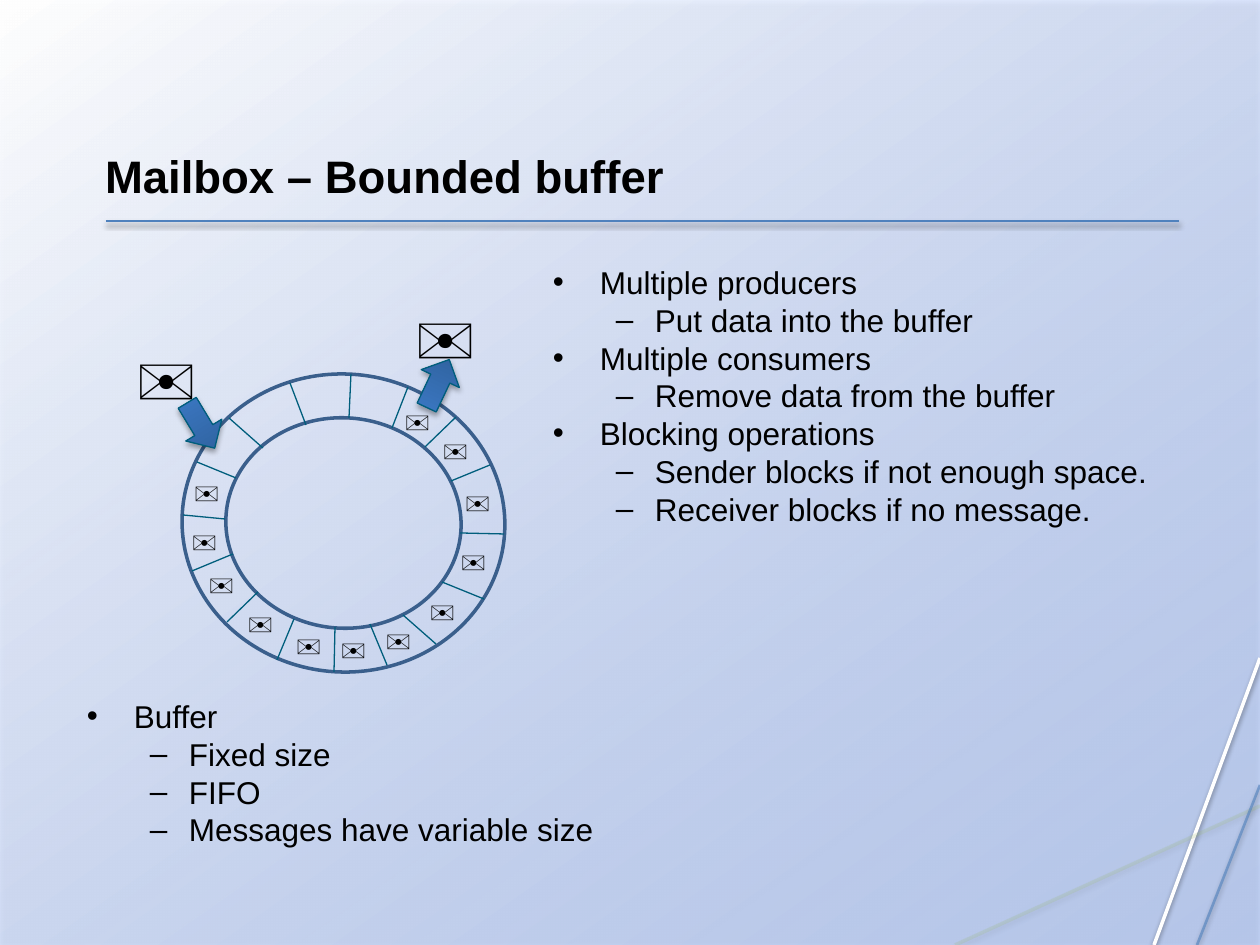
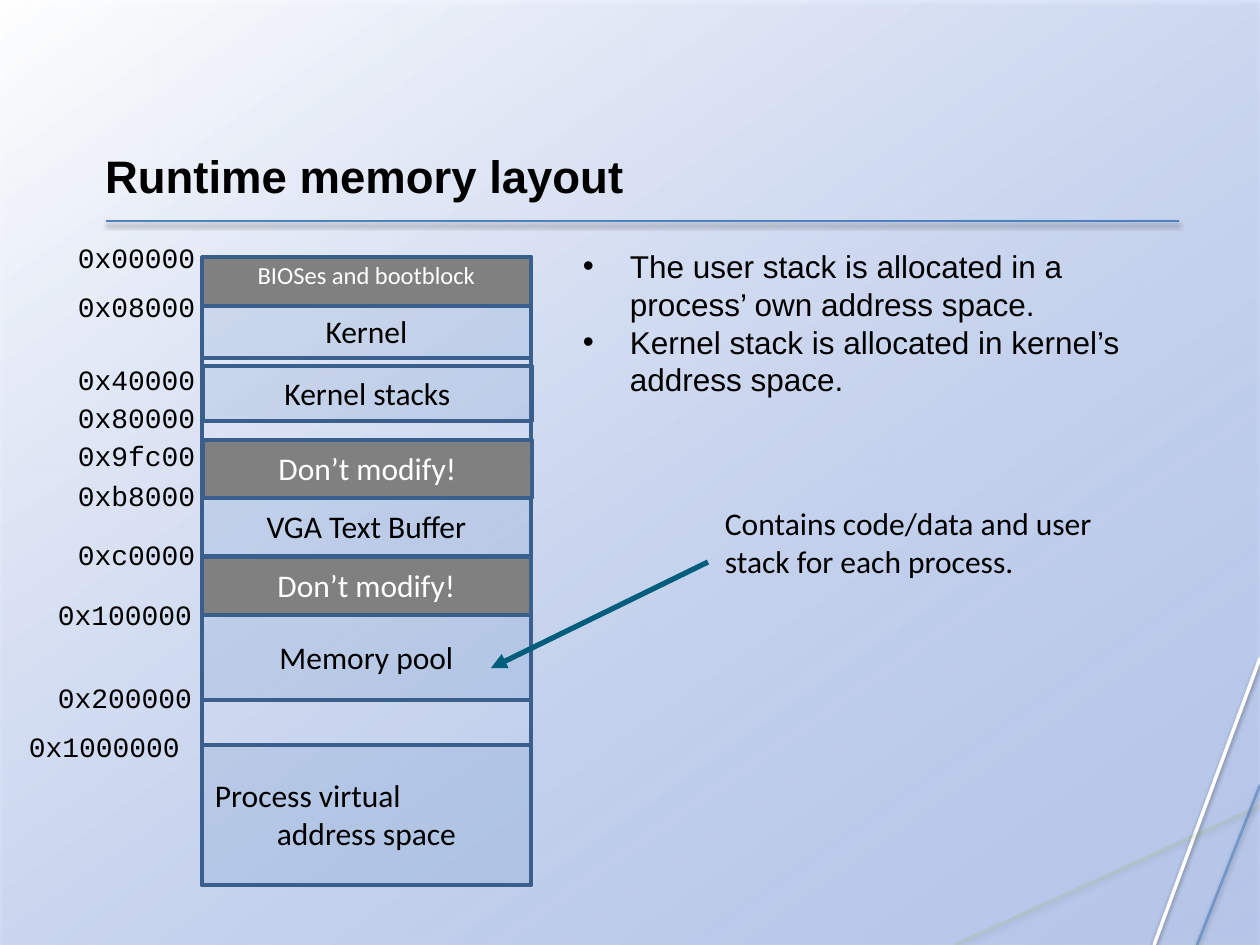
from lxml import etree
from pptx import Presentation
from pptx.dml.color import RGBColor
from pptx.enum.shapes import MSO_CONNECTOR, MSO_SHAPE
from pptx.enum.text import MSO_ANCHOR, PP_ALIGN
from pptx.oxml.ns import qn
from pptx.util import Emu, Pt

RECT, DONUT, DOWN_ARROW = MSO_SHAPE.RECTANGLE, MSO_SHAPE.DONUT, MSO_SHAPE.DOWN_ARROW
STRAIGHT = MSO_CONNECTOR.STRAIGHT
TOP, MIDDLE, BOTTOM = MSO_ANCHOR.TOP, MSO_ANCHOR.MIDDLE, MSO_ANCHOR.BOTTOM
LEFT, CENTER = PP_ALIGN.LEFT, PP_ALIGN.CENTER

BLACK = RGBColor(0x00, 0x00, 0x00)
WHITE = RGBColor(0xFF, 0xFF, 0xFF)
SKY = RGBColor(0xA4, 0xC1, 0xFF)
BLUE = RGBColor(0x4F, 0x81, 0xBD)
GREEN = RGBColor(0x9B, 0xBB, 0x59)
OUTLINE = RGBColor(0x3A, 0x5F, 0x8C)
TEAL = RGBColor(0x00, 0x5E, 0x7C)
ARROW_DARK = RGBColor(0x2E, 0x5F, 0x99)
ARROW_LIGHT = RGBColor(0x3C, 0x7A, 0xC7)
GREY = RGBColor(0x80, 0x80, 0x80)

SLIDE_W, SLIDE_H = 1260, 945
TITLE_BOX = (92, 42, 1086, 167)
INSETS = (13, 6, 13, 6)
# Shadow: opacity %, blur pt, distance pt
SHAPE_SHADOW = (35, 3.1, 1.8)
LINE_SHADOW = (38, 3.1, 1.6)

# Shared lines: ends, colour, width, opacity %
THEME_LINES = [
    ((1260, 658, 1154, 945), WHITE, 2, 100),
    ((1260, 806, 955, 945), GREEN, 2, 16),
    ((1260, 785, 1197, 945), BLUE, 1.5, 60),
    ((106, 221, 1179, 221), BLUE, 1, 100),
]

# Bullet levels: mark, left margin, first-line indent
BULLETS = [("•", 47, -47), ("–", 102, -39)]

# Slide 1: bounded buffer
OPERATIONS = [
    (0, "Multiple producers"),
    (1, "Put data into the buffer"),
    (0, "Multiple consumers"),
    (1, "Remove data from the buffer"),
    (0, "Blocking operations"),
    (1, "Sender blocks if not enough space."),
    (1, "Receiver blocks if no message."),
]
BUFFER_FACTS = [
    (0, "Buffer"),
    (1, "Fixed size"),
    (1, "FIFO"),
    (1, "Messages have variable size"),
]
RING_BOX = (182, 374, 323, 298)
SLOT_DIVIDERS = [
    (334, 672, 335, 627), (349, 418, 351, 374), (277, 660, 294, 619), (392, 428, 408, 387),
    (227, 622, 258, 592), (425, 447, 456, 417), (192, 571, 233, 554), (451, 481, 490, 465),
    (183, 515, 225, 519), (460, 533, 504, 534), (197, 462, 236, 478), (442, 582, 484, 599),
    (229, 418, 263, 448), (403, 615, 436, 644), (290, 383, 306, 425), (370, 624, 387, 665),
]
ENVELOPE = "✉"
OUTER_MESSAGES = [(123, 322), (403, 281)]
QUEUED_MESSAGES = [
    (181, 465), (179, 514), (196, 557), (235, 596), (283, 618), (392, 394),
    (328, 622), (373, 613), (417, 584), (448, 534), (452, 475), (430, 423),
]
TRANSFER_ARROWS = [(417, 357, 205.2), (180, 399, 328.8)]

# Slide 2: memory map
STACK_NOTES = [
    (0, "The user stack is allocated in a process’ own address space."),
    (0, "Kernel stack is allocated in kernel’s address space."),
]
MEMORY_LEFT, MEMORY_TOP, MEMORY_W, MEMORY_H = 202, 257, 329, 628
BLOCK_INSETS = (13, 6, 13, 8)
# Block: text, left shift, top, height, reserved
BLOCKS = [
    ("BIOSes and bootblock", 0, 257, 49, True),
    ("Kernel", 0, 306, 52, False),
    ("Kernel stacks", 1, 366, 55, False),
    ("Don’t modify!", 1, 440, 58, True),
    ("VGA Text Buffer", 0, 498, 58, False),
    ("Don’t modify!", 0, 557, 58, True),
    ("Memory pool", 0, 615, 85, False),
    ("Process virtual\naddress space", 0, 745, 140, False),
]
ADDRESSES = [
    ("0x00000", 235), ("0x08000", 284), ("0x40000", 357), ("0x80000", 394), ("0x9fc00", 433),
    ("0xb8000", 473), ("0xc0000", 532), ("0x100000", 592), ("0x200000", 675), ("0x1000000", 724),
]
# Left and width of an address label by its number of characters
ADDRESS_COLUMNS = {7: (65, 150), 8: (45, 168), 9: (16, 186)}
POOL_NOTE = "Contains code/data and user stack for each process."


def px(n):
    return Emu(round(n * 914400 / 126))


def box(*lengths):
    return [px(n) for n in lengths]


def child(parent, tag, **attrs):
    el = etree.SubElement(parent, qn(tag))
    for key, value in attrs.items():
        el.set(key, str(value))
    return el


def set_alpha(sp, percent):
    """Apply opacity to the colour set last in the shape's properties."""
    if percent < 100:
        child(sp._element.spPr.findall(".//" + qn("a:srgbClr"))[-1],
              "a:alpha", val=percent * 1000)


def set_shadow(sp, shadow=None):
    effects = child(sp._element.spPr, "a:effectLst")
    if shadow:
        opacity, blur, dist = shadow
        outer = child(effects, "a:outerShdw", blurRad=Pt(blur), dist=Pt(dist),
                      dir=90 * 60000, rotWithShape=0)
        color = child(outer, "a:srgbClr", val="000000")
        child(color, "a:alpha", val=opacity * 1000)


def write(sp, text, font="Calibri", size=18, color=BLACK, bold=False, aligns=(LEFT,),
          anchor=TOP, wrap=True, insets=INSETS, spacing=None):
    """Fill a text frame, one paragraph a line; the last alignment repeats."""
    tf = sp.text_frame
    tf.word_wrap, tf.vertical_anchor = wrap, anchor
    tf.margin_left, tf.margin_top, tf.margin_right, tf.margin_bottom = box(*insets)
    for i, line in enumerate(text.split("\n")):
        p = tf.add_paragraph() if i else tf.paragraphs[0]
        p.alignment = aligns[min(i, len(aligns) - 1)]
        if spacing:
            p.line_spacing = Pt(spacing)
        r = p.add_run()
        r.text = line
        r.font.name, r.font.size, r.font.bold = font, Pt(size), bold
        r.font.color.rgb = color
    return tf


def add_text(slide, at, text, **fmt):
    return write(slide.shapes.add_textbox(*box(*at)), text, **fmt)


def add_bullets(slide, at, items):
    tf = add_text(slide, at, "\n".join(text for _, text in items), font="Arial", spacing=21.6)
    for p, (level, _) in zip(tf.paragraphs, items):
        mark, margin, indent = BULLETS[level]
        p.level = level
        pPr = p._p.get_or_add_pPr()
        pPr.set("marL", str(px(margin)))
        pPr.set("indent", str(px(indent)))
        child(pPr, "a:buFont", typeface="Arial")
        child(pPr, "a:buChar", char=mark)


def add_shape(slide, kind, at, fill=None, opacity=100, line=None, width=2, shadow=None, angle=0):
    """Fill is None, one colour, or a pair of gradient colours."""
    sp = slide.shapes.add_shape(kind, *box(*at))
    if fill is None:
        sp.fill.background()
    elif isinstance(fill, RGBColor):
        sp.fill.solid()
        sp.fill.fore_color.rgb = fill
    else:
        sp.fill.gradient()
        sp.fill.gradient_angle = 360 - angle
        for stop, color in zip(sp.fill.gradient_stops, fill):
            stop.color.rgb = color
    set_alpha(sp, opacity)
    if line is None:
        sp.line.fill.background()
    else:
        sp.line.color.rgb = line
        sp.line.width = Pt(width)
    set_shadow(sp, shadow)
    return sp


def add_line(slide, ends, color, width, opacity=100, shadow=None, arrow=False):
    sp = slide.shapes.add_connector(STRAIGHT, *box(*ends))
    sp.line.color.rgb = color
    sp.line.width = Pt(width)
    set_alpha(sp, opacity)
    if arrow:
        child(sp.line._get_or_add_ln(), "a:tailEnd", type="triangle")
    set_shadow(sp, shadow)


def decorate_layout(layout, slide):
    """Build the shared backdrop and lines, then move them to the layout."""
    add_shape(slide, RECT, (0, 0, SLIDE_W, SLIDE_H), (WHITE, SKY), opacity=56,
              shadow=SHAPE_SHADOW, angle=55)
    for ends, color, width, opacity in THEME_LINES:
        add_line(slide, ends, color, width, opacity, LINE_SHADOW)
    parts = [sp for sp in slide.shapes if not sp.is_placeholder]
    for number, sp in enumerate(parts, 20):
        sp._element.xpath(".//p:cNvPr")[0].set("id", str(number))
        layout.shapes._spTree.append(sp._element)


def add_slide(prs, layout, title):
    slide = prs.slides.add_slide(layout)
    sp = slide.shapes.title
    sp.left, sp.top, sp.width, sp.height = box(*TITLE_BOX)
    write(sp, title, font="Arial", size=26, bold=True, anchor=BOTTOM)
    return slide


def build_mailbox(slide):
    add_bullets(slide, (540, 257, 640, 602), OPERATIONS)
    # Ring buffer and its slots
    ring = add_shape(slide, DONUT, RING_BOX, line=OUTLINE)
    ring.rotation = 183.9
    ring.adjustments[0] = 0.147
    for ends in SLOT_DIVIDERS:
        add_line(slide, ends, TEAL, 0.75)
    add_bullets(slide, (74, 691, 595, 208), BUFFER_FACTS)
    # Messages entering, leaving and waiting
    for x, y in OUTER_MESSAGES:
        add_text(slide, (x, y, 96, 113), ENVELOPE, size=48, wrap=False)
    for x, y, rotation in TRANSFER_ARROWS:
        arrow = add_shape(slide, DOWN_ARROW, (x, y, 42, 53), (ARROW_DARK, ARROW_LIGHT),
                          line=TEAL, width=0.75, shadow=SHAPE_SHADOW, angle=270)
        arrow.rotation = rotation
    for x, y in QUEUED_MESSAGES:
        add_text(slide, (x, y, 54, 54), ENVELOPE, size=20, wrap=False)


def build_memory(slide):
    add_bullets(slide, (570, 241, 609, 602), STACK_NOTES)
    # Memory column
    add_shape(slide, RECT, (MEMORY_LEFT, MEMORY_TOP, MEMORY_W, MEMORY_H), line=OUTLINE)
    for i, (text, shift, top, height, reserved) in enumerate(BLOCKS):
        sp = add_shape(slide, RECT, (MEMORY_LEFT + shift, top, MEMORY_W, height),
                       GREY if reserved else BLUE, 100 if reserved else 15, OUTLINE)
        fmt = (dict(size=14, anchor=TOP, insets=(13, 3, 13, 3)) if i == 0
               else dict(anchor=MIDDLE, insets=BLOCK_INSETS))
        write(sp, text, color=WHITE if reserved else BLACK,
              aligns=(LEFT, CENTER) if "\n" in text else (CENTER,), **fmt)
    for address, top in ADDRESSES:
        left, width = ADDRESS_COLUMNS[len(address)]
        add_text(slide, (left, top, width, 45), address, font="Courier New", size=16)
    # Note on the memory pool
    add_line(slide, (708, 562, 491, 668), TEAL, 3, arrow=True)
    add_text(slide, (712, 498, 456, 126), POOL_NOTE)


def main():
    prs = Presentation()
    prs.slide_width, prs.slide_height = box(SLIDE_W, SLIDE_H)
    layout = prs.slide_layouts[5]
    mailbox = add_slide(prs, layout, "Mailbox – Bounded buffer")
    decorate_layout(layout, mailbox)
    build_mailbox(mailbox)
    build_memory(add_slide(prs, layout, "Runtime memory layout"))
    prs.save("out.pptx")


if __name__ == "__main__":
    main()
